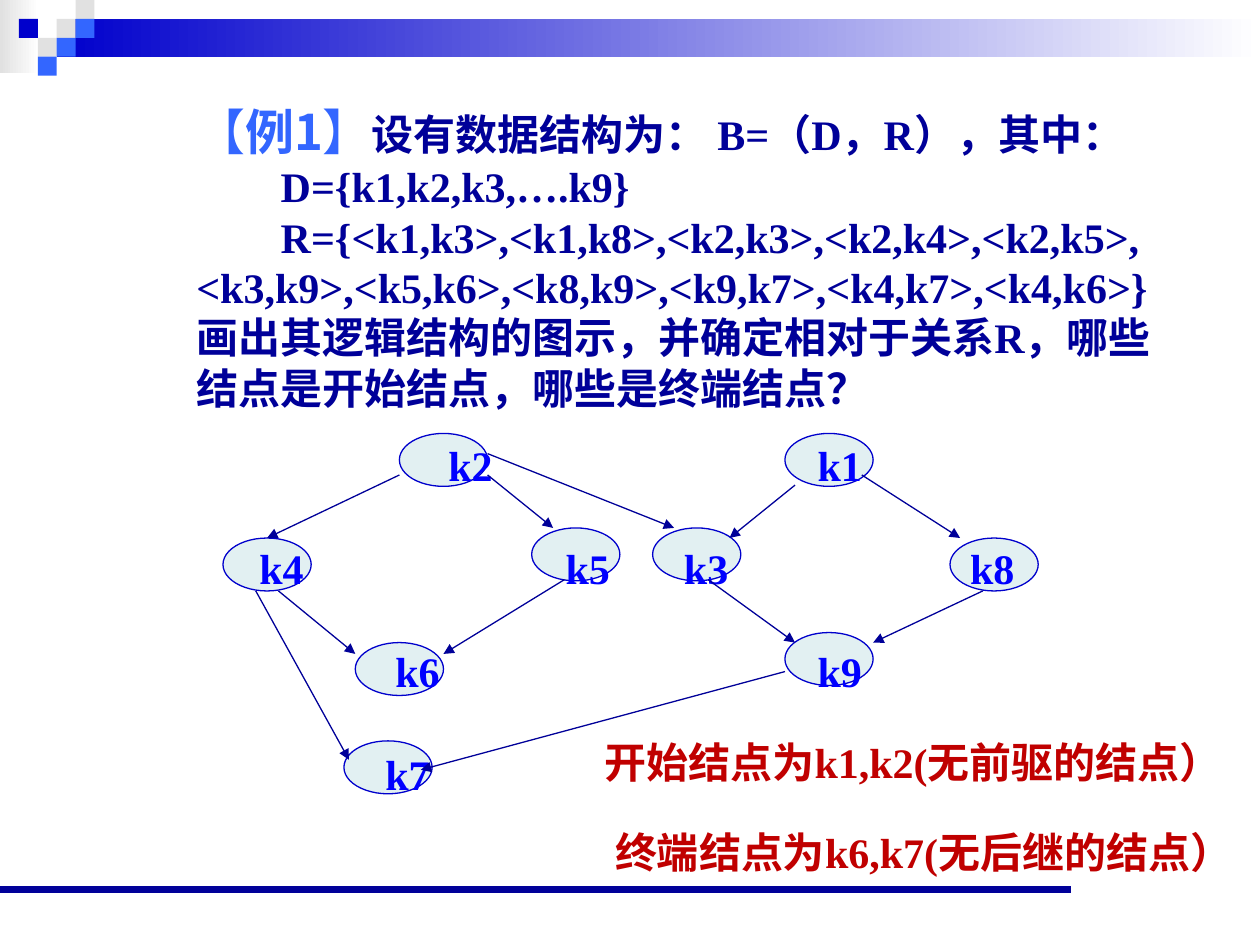
from lxml.etree import SubElement
from pptx import Presentation
from pptx.dml.color import RGBColor
from pptx.enum.shapes import MSO_CONNECTOR, MSO_SHAPE
from pptx.enum.text import PP_ALIGN
from pptx.oxml.ns import qn
from pptx.util import Inches, Pt

NAVY = RGBColor(0x00, 0x00, 0x99)
BLUE = RGBColor(0x00, 0x00, 0xCC)
LABEL_BLUE = RGBColor(0x00, 0x00, 0xFF)
SKY = RGBColor(0x33, 0x66, 0xFF)
GRAY = RGBColor(0xE1, 0xE1, 0xE1)
PALE = RGBColor(0xE2, 0xF0, 0xF2)
RED = RGBColor(0xC0, 0x00, 0x00)
WHITE = RGBColor(0xFF, 0xFF, 0xFF)
SERIF, CJK = "Times New Roman", "Noto Sans CJK SC"

presentation = Presentation()
presentation.slide_width, presentation.slide_height = Inches(10), Inches(7.5)
slide = presentation.slides.add_slide(presentation.slide_layouts[6])


def add_run(paragraph, text, color, size=24, font=SERIF, bold=True):
    run = paragraph.add_run()
    run.text = text
    run.font.size, run.font.bold, run.font.name = Pt(size), bold, font
    run.font.color.rgb = color
    SubElement(run._r.rPr, qn("a:ea"), typeface=CJK)


def add_line(start, end, width, arrow=False):
    line = slide.shapes.add_connector(
        MSO_CONNECTOR.STRAIGHT, *[Inches(value) for value in (*start, *end)])
    line.line.color.rgb, line.line.width = NAVY, Pt(width)
    if arrow:
        SubElement(line.line._get_or_add_ln(), qn("a:tailEnd"), type="triangle")
    SubElement(line._element.spPr, qn("a:effectLst"))


# Header gradients
for left, top, width, height, color in [(0, 0, 0.31, 0.58, GRAY),
                                        (0.45, 0.15, 9.55, 0.3, BLUE)]:
    band = slide.shapes.add_shape(MSO_SHAPE.RECTANGLE, Inches(left), Inches(top),
                                  Inches(width), Inches(height))
    band.shadow.inherit = False
    band.line.fill.background()
    band.fill.gradient()
    band.fill.gradient_angle = 0
    for stop, stop_color in zip(band.fill.gradient_stops, (color, WHITE)):
        stop.color.rgb = stop_color

# Header squares, by column and row of a square grid
SQUARE = 0.15
for column, row, color in [(3, 1, GRAY), (4, 0, GRAY), (4, 1, SKY), (2, 2, GRAY),
                           (1, 1, BLUE), (3, 2, SKY), (2, 3, SKY)]:
    square = slide.shapes.add_shape(
        MSO_SHAPE.RECTANGLE, Inches(column * SQUARE), Inches(row * SQUARE),
        Inches(SQUARE), Inches(SQUARE))
    square.shadow.inherit = False
    square.line.fill.background()
    square.fill.solid()
    square.fill.fore_color.rgb = color

# Footer rule
add_line((0, 7.06), (8.5, 7.06), 4.5)

# Problem statement
statement = slide.shapes.add_textbox(Inches(1.46), Inches(0.76), Inches(8.27), Inches(2.57))
statement.text_frame.word_wrap = True
paragraph = statement.text_frame.paragraphs[0]
for text, bold in [("【", False), ("例1", True), ("】", False)]:
    add_run(paragraph, text, SKY, 28, CJK, bold)
add_run(paragraph, "设有数据结构为： B=（D，R），其中：", NAVY)
for text, indent in [
    ("D={k1,k2,k3,….k9}", 0.67),
    ("R={<k1,k3>,<k1,k8>,<k2,k3>,<k2,k4>,<k2,k5>,", 0.67),
    ("<k3,k9>,<k5,k6>,<k8,k9>,<k9,k7>,<k4,k7>,<k4,k6>}", 0),
    ("画出其逻辑结构的图示，并确定相对于关系R，哪些", 0),
    ("结点是开始结点，哪些是终端结点？", 0),
]:
    paragraph = statement.text_frame.add_paragraph()
    paragraph._p.get_or_add_pPr().set("indent", str(Inches(indent)))
    add_run(paragraph, text, NAVY)

# Graph nodes
for left, top in [(6.23, 3.44), (5.18, 4.19), (4.22, 4.19), (1.77, 4.27), (2.73, 5.88),
                  (6.23, 5.02), (2.82, 5.1), (7.54, 4.27), (3.17, 3.44)]:
    node = slide.shapes.add_shape(MSO_SHAPE.OVAL, Inches(left), Inches(top),
                                  Inches(0.7), Inches(0.42))
    node.shadow.inherit = False
    node.fill.solid()
    node.fill.fore_color.rgb = PALE
    node.line.color.rgb, node.line.width = BLUE, Pt(0.75)

# Node labels, one paragraph per level, placed with tab stops
labels = slide.shapes.add_textbox(Inches(1.88), Inches(3.44), Inches(6.45), Inches(2.9))
labels.text_frame.word_wrap = True
levels = [
    [("k2", 1.58), ("k1", 4.51)],
    [("k4", 0.08), ("k5", 2.51), ("k3", 3.45), ("k8", 5.72)],
    [("k6", 1.16), ("k9", 4.51)],
    [("k7", 1.08)],
]
for index, level in enumerate(levels):
    frame = labels.text_frame
    paragraph = frame.add_paragraph() if index else frame.paragraphs[0]
    paragraph.space_before = Pt(30 if index else 0)
    tab_list = SubElement(paragraph._p.get_or_add_pPr(), qn("a:tabLst"))
    for name, position in level:
        SubElement(tab_list, qn("a:tab"), pos=str(Inches(position)), algn="l")
        add_run(paragraph, "\t" + name, LABEL_BLUE)

# Graph edges
for start, end in [
    ((3.17, 3.77), (2.12, 4.27)),  # k2 to k4
    ((3.87, 3.77), (4.39, 4.19)),  # k2 to k5
    ((2.21, 4.69), (2.82, 5.19)),  # k4 to k6
    ((4.48, 4.6), (3.52, 5.19)),   # k5 to k6
    ((6.31, 3.85), (5.79, 4.27)),  # k1 to k3
    ((6.84, 3.77), (7.62, 4.27)),  # k1 to k8
    ((5.62, 4.6), (6.31, 5.1)),    # k3 to k9
    ((7.8, 4.69), (6.93, 5.1)),    # k8 to k9
    ((3.87, 3.6), (5.35, 4.19)),   # k2 to k3
    ((2.03, 4.69), (2.77, 6.03)),  # k4 to k7
    ((6.23, 5.33), (3.34, 6.11)),  # k9 to k7
]:
    add_line(start, end, 0.75, arrow=True)

# Answers
for left, top, alignment, text in [
    (4.7, 5.8, PP_ALIGN.LEFT, "开始结点为k1,k2(无前驱的结点）"),
    (4.62, 6.51, PP_ALIGN.CENTER, "终端结点为k6,k7(无后继的结点）"),
]:
    answer = slide.shapes.add_textbox(Inches(left), Inches(top), Inches(5.42), Inches(0.5))
    answer.text_frame.word_wrap = True
    paragraph = answer.text_frame.paragraphs[0]
    paragraph.alignment = alignment
    add_run(paragraph, text, RED)

presentation.save("out.pptx")
